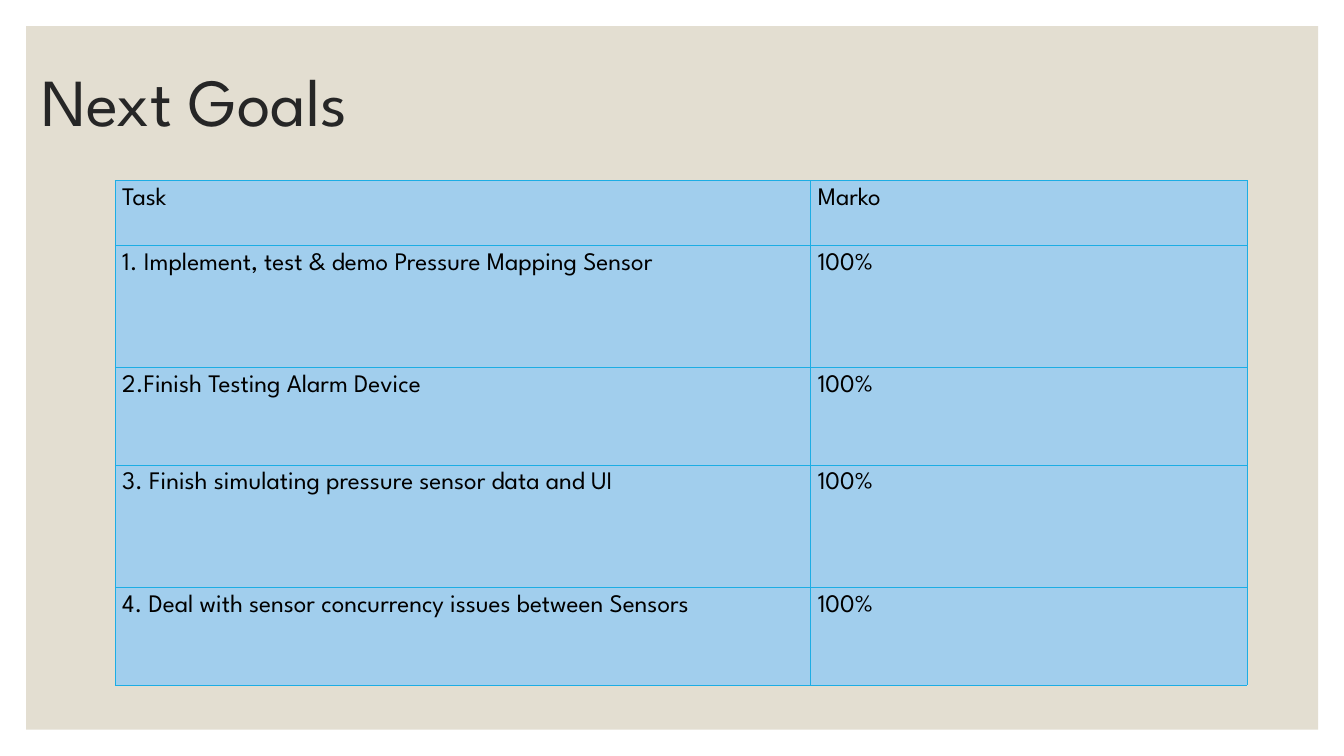
"""Build the Next Goals slide with its task table."""
import pptx
import pptx.dml.color
import pptx.enum.shapes
import pptx.enum.text
import pptx.oxml
import pptx.oxml.ns
import pptx.util

Cm = pptx.util.Cm
Pt = pptx.util.Pt
RGBColor = pptx.dml.color.RGBColor

SAND = RGBColor(0xE3, 0xDE, 0xD1)
CHARCOAL = RGBColor(0x26, 0x26, 0x26)
BLACK = RGBColor(0x00, 0x00, 0x00)
SKY = RGBColor(0xA1, 0xCE, 0xED)
CYAN = RGBColor(0x1C, 0xAD, 0xE4)
FONT = "League Spartan"

GOALS = [
    ("Task", "Marko"),
    ("1. Implement, test & demo Pressure Mapping Sensor", "100%"),
    ("2.Finish Testing Alarm Device", "100%"),
    ("3. Finish simulating pressure sensor data and UI", "100%"),
    ("4. Deal with sensor concurrency issues between Sensors", "100%"),
]
COLUMN_WIDTHS = [17.53, 11]
ROW_HEIGHTS = [1.63, 3.08, 2.46, 3.08, 2.46]


def write_text(frame, text, size, color):
    """Put one formatted paragraph into a text frame."""
    frame.text = text
    font = frame.paragraphs[0].runs[0].font
    font.name = FONT
    font.size = Pt(size)
    font.color.rgb = color


def add_backdrop(slide):
    """Add the sand panel inside the white margin."""
    backdrop = slide.shapes.add_shape(
        pptx.enum.shapes.MSO_SHAPE.RECTANGLE, Cm(0.66), Cm(0.66), Cm(32.56), Cm(17.73))
    backdrop.shadow.inherit = False
    backdrop.fill.solid()
    backdrop.fill.fore_color.rgb = SAND
    backdrop.line.fill.background()


def add_heading(slide, text):
    """Add the slide heading."""
    heading = slide.shapes.add_textbox(Cm(0.79), Cm(0.74), Cm(27.94), Cm(3.81))
    frame = heading.text_frame
    frame.word_wrap = True
    frame.vertical_anchor = pptx.enum.text.MSO_ANCHOR.MIDDLE
    write_text(frame, text, 48, CHARCOAL)
    frame.paragraphs[0].line_spacing = 0.9


def set_borders(cell):
    """Draw a thin line on all four sides of a cell."""
    properties = cell._tc.get_or_add_tcPr()
    for position, side in enumerate(("lnL", "lnR", "lnT", "lnB")):
        border = pptx.oxml.parse_xml(
            f'<a:{side} {pptx.oxml.ns.nsdecls("a")} w="{Pt(0.5)}"><a:solidFill>'
            f'<a:srgbClr val="{CYAN}"/></a:solidFill></a:{side}>')
        properties.insert(position, border)


def fill_cell(cell, text):
    """Write and style one table cell."""
    cell.margin_left = cell.margin_right = Cm(0.18)
    cell.margin_top = cell.margin_bottom = Cm(0.18)
    cell.fill.solid()
    cell.fill.fore_color.rgb = SKY
    write_text(cell.text_frame, text, 18, BLACK)
    set_borders(cell)


def add_goal_table(slide):
    """Add the table of tasks and shares."""
    goals = slide.shapes.add_table(
        len(GOALS), len(COLUMN_WIDTHS), Cm(2.9), Cm(4.55),
        Cm(sum(COLUMN_WIDTHS)), Cm(sum(ROW_HEIGHTS))).table
    goals.horz_banding = False
    goals.first_row = False
    for column, width in zip(goals.columns, COLUMN_WIDTHS):
        column.width = Cm(width)
    for row, height, entries in zip(goals.rows, ROW_HEIGHTS, GOALS):
        row.height = Cm(height)
        for cell, entry in zip(row.cells, entries):
            fill_cell(cell, entry)


def main():
    """Build and save the slide."""
    deck = pptx.Presentation()
    deck.slide_width = Cm(33.87)
    deck.slide_height = Cm(19.05)
    slide = deck.slides.add_slide(deck.slide_layouts[6])
    add_backdrop(slide)
    add_heading(slide, "Next Goals")
    add_goal_table(slide)
    deck.save("out.pptx")


if __name__ == "__main__":
    main()
